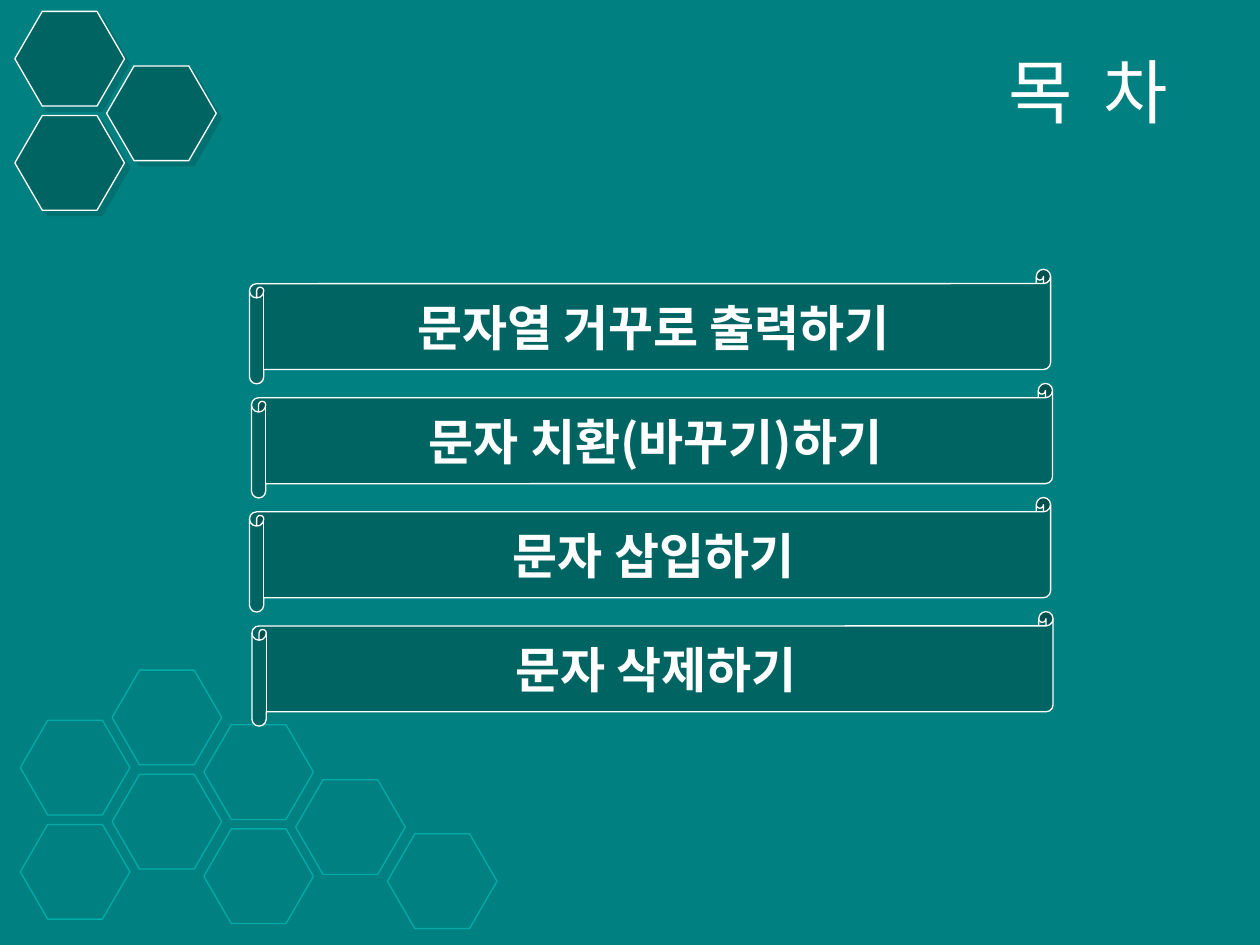
"""Builds a Korean contents slide with honeycomb decoration and four scroll banners."""
from typing import NamedTuple, Optional

from lxml import etree
from pptx import Presentation
from pptx.dml.color import RGBColor
from pptx.enum.shapes import MSO_SHAPE
from pptx.enum.text import MSO_ANCHOR, PP_ALIGN
from pptx.oxml.ns import qn
from pptx.util import Cm, Pt

HEXAGON = MSO_SHAPE.HEXAGON
SCROLL = MSO_SHAPE.HORIZONTAL_SCROLL
MIDDLE = MSO_ANCHOR.MIDDLE
CENTER = PP_ALIGN.CENTER
RIGHT = PP_ALIGN.RIGHT

TEAL, DEEP, BRIGHT, WHITE = "008080", "006462", "00ACA8", "FFFFFF"
TITLE_FONT, BODY_FONT = "Arial", "Noto Sans CJK KR"
HEX_W, HEX_H = 2.21, 1.91
COL_STEP, ROW_STEP = 1.85, 2.1
SCROLL_TOP, SCROLL_STEP = 5.43, 2.3


class HexColumn(NamedTuple):
    top: float
    count: int


class Honeycomb(NamedTuple):
    left: float
    columns: list[HexColumn]
    line: str
    fill: Optional[str]


class Banner(NamedTuple):
    left: float
    text: str


HONEYCOMBS = [
    Honeycomb(0.41, [HexColumn(14.52, 2), HexColumn(13.51, 2), HexColumn(14.61, 2),
                     HexColumn(15.72, 1), HexColumn(16.81, 1)], BRIGHT, None),
    Honeycomb(0.3, [HexColumn(0.23, 2), HexColumn(1.33, 1)], WHITE, DEEP),
]
BANNERS = [
    Banner(5.03, "문자열 거꾸로 출력하기"),
    Banner(5.07, "문자 치환(바꾸기)하기"),
    Banner(5.03, "문자 삽입하기"),
    Banner(5.08, "문자 삭제하기"),
]


def rgb(value: str) -> RGBColor:
    return RGBColor.from_string(value)


def add_outlined(s, kind, left: float, top: float, width: float, height: float,
                 line: str, fill: Optional[str]):
    sp = s.shapes.add_shape(kind, Cm(left), Cm(top), Cm(width), Cm(height))
    sp.shadow.inherit = False
    if fill:
        sp.fill.solid()
        sp.fill.fore_color.rgb = rgb(fill)
    else:
        sp.fill.background()
    sp.line.color.rgb = rgb(line)
    sp.line.width = Pt(0.75)
    return sp


def add_drop_shadow(sp, colour: str) -> None:
    effects = sp._element.spPr.find(qn("a:effectLst"))
    shadow = etree.SubElement(effects, qn("a:outerShdw"), dist=str(Pt(4.2)),
                              dir="2700000", algn="ctr", rotWithShape="0")
    clr = etree.SubElement(shadow, qn("a:srgbClr"), val=colour)
    etree.SubElement(clr, qn("a:alpha"), val="50000")


def add_honeycomb(s, comb: Honeycomb) -> None:
    for col, column in enumerate(comb.columns):
        for row in range(column.count):
            sp = add_outlined(s, HEXAGON, comb.left + col * COL_STEP,
                              column.top + row * ROW_STEP, HEX_W, HEX_H,
                              comb.line, comb.fill)
            sp.adjustments[0] = 0.29
            if comb.fill:
                add_drop_shadow(sp, DEEP)


def set_text(sp, text: str, font: str, size: int, align, bold: bool = False) -> None:
    tf = sp.text_frame
    tf.text = text
    tf.word_wrap = True
    tf.vertical_anchor = MIDDLE
    p = tf.paragraphs[0]
    p.alignment = align
    r = p.runs[0]
    r.font.name = font
    r.font.size = Pt(size)
    r.font.bold = bold
    r.font.color.rgb = rgb(WHITE)
    etree.SubElement(r.font._element, qn("a:ea"), typeface=BODY_FONT)


def main() -> None:
    prs = Presentation()
    prs.slide_width, prs.slide_height = Cm(25.4), Cm(19.05)
    s = prs.slides.add_slide(prs.slide_layouts[6])
    s.background.fill.solid()
    s.background.fill.fore_color.rgb = rgb(TEAL)

    for comb in HONEYCOMBS:
        add_honeycomb(s, comb)

    title = s.shapes.add_textbox(Cm(4.7), Cm(0.71), Cm(19.1), Cm(2.21))
    set_text(title, "목  차", TITLE_FONT, 40, RIGHT)

    for i, banner in enumerate(BANNERS):
        sp = add_outlined(s, SCROLL, banner.left, SCROLL_TOP + i * SCROLL_STEP,
                          16.15, 2.31, WHITE, DEEP)
        set_text(sp, banner.text, BODY_FONT, 28, CENTER, bold=True)

    prs.save("out.pptx")


main()
